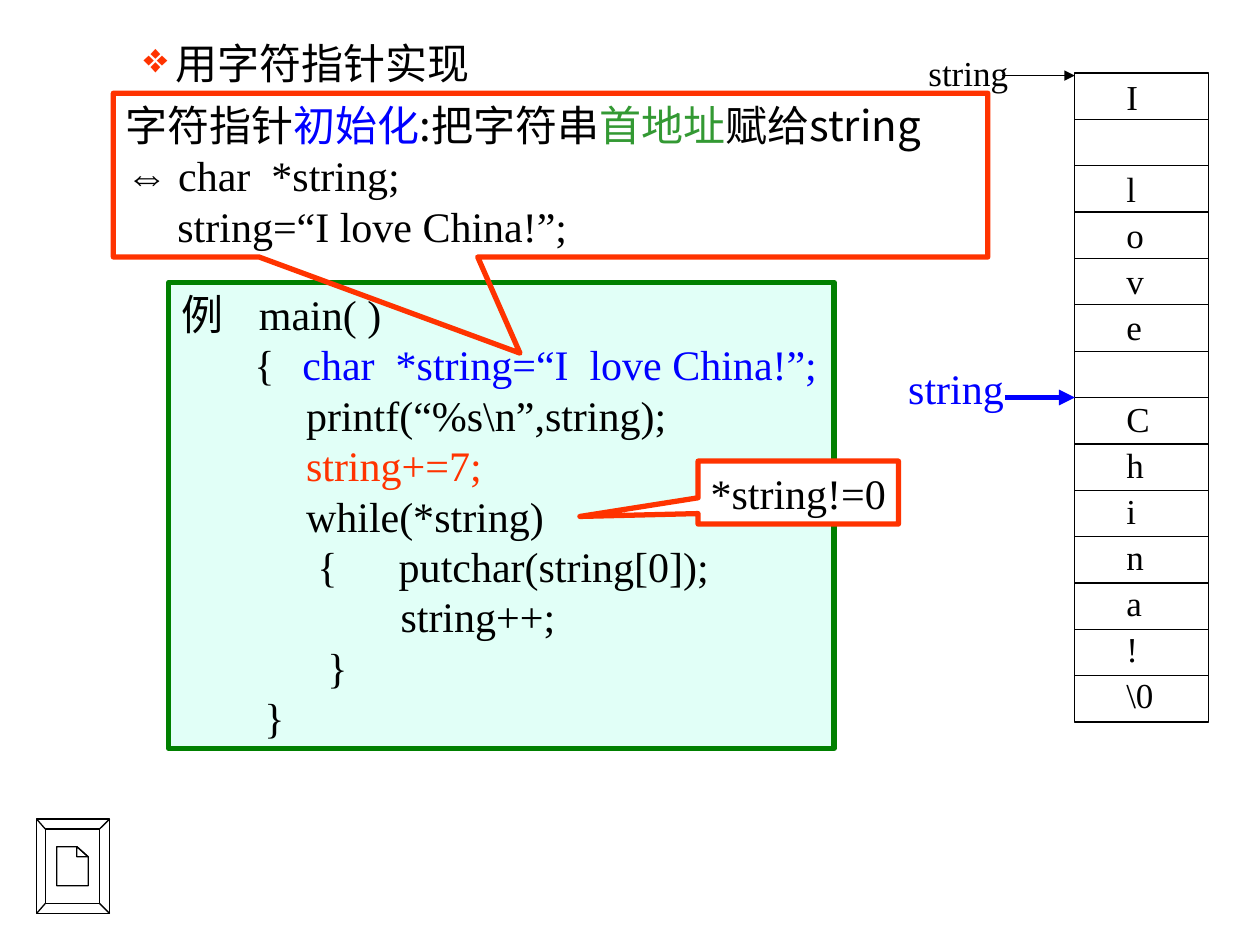
import dataclasses
import pptx
import pptx.dml.color
import pptx.enum.shapes
import pptx.enum.text
import pptx.oxml.ns
import pptx.util
import lxml.etree

SHAPE = pptx.enum.shapes.MSO_SHAPE
ALIGN = pptx.enum.text.PP_ALIGN
ANCHOR = pptx.enum.text.MSO_ANCHOR
qn = pptx.oxml.ns.qn


@dataclasses.dataclass(frozen=True)
class Theme:
    black: str = "000000"
    white: str = "FFFFFF"
    blue: str = "0000FF"
    red: str = "FF3300"
    leaf: str = "339933"
    green: str = "008000"
    mint: str = "E1FFF7"
    serif: str = "Times New Roman"
    sans: str = "Noto Sans CJK SC"
    symbol: str = "Arial"
    body: int = 24
    cell: int = 20
    thin: float = 0.75
    thick: float = 3
    leading: float = 1.2


T = Theme()


def rgb(value):
    return pptx.dml.color.RGBColor.from_string(value)


def add_run(p, text, color=T.black, font=T.serif, size=T.body, spacing=0):
    r = p.add_run()
    r.text = text
    r.font.size = pptx.util.Pt(size)
    r.font.color.rgb = rgb(color)
    r.font.name = font
    lxml.etree.SubElement(r.font._element, qn("a:ea"), typeface=T.sans)
    if spacing:
        r.font._element.set("spc", str(spacing * 100))


class Deck:
    """Draws styled elements on the current slide, a grid of 100 columns by 75 rows."""

    def __init__(self):
        self.prs = pptx.Presentation()
        self.prs.slide_width = pptx.util.Inches(10)
        self.prs.slide_height = pptx.util.Inches(7.5)
        self.unit = self.prs.slide_width // 100
        self.s = self.prs.slides.add_slide(self.prs.slide_layouts[5])

    def grid(self, *values):
        return [round(v * self.unit) for v in values]

    def frame(self, sp, wrap=True, anchor=ANCHOR.TOP):
        tf = sp.text_frame
        tf.word_wrap = wrap
        tf.vertical_anchor = anchor
        tf.margin_left, tf.margin_top, tf.margin_bottom = self.grid(1, 0.5, 0.5)
        tf.margin_right = 0 if wrap else self.unit
        return tf

    def lines(self, tf, rows, size=T.body, align=ALIGN.LEFT):
        for i, (indent, *runs) in enumerate(rows):
            p = tf.paragraphs[0] if i == 0 else tf.add_paragraph()
            p.alignment = align
            p.line_spacing = pptx.util.Pt(size * T.leading)
            ppr = p._p.get_or_add_pPr()
            ppr.set("marL", str(*self.grid(indent)))
            ppr.set("indent", "0")
            for text, style in runs:
                add_run(p, text, size=size, **style)

    def title(self, text, bullet, *box):
        sp = self.s.shapes.title
        sp.left, sp.top, sp.width, sp.height = self.grid(*box)
        p = self.frame(sp).paragraphs[0]
        p.alignment = ALIGN.LEFT
        ppr = p._p.get_or_add_pPr()
        left, hang = self.grid(12.9, -2.5)
        ppr.set("marL", str(left))
        ppr.set("indent", str(hang))
        color = lxml.etree.SubElement(ppr, qn("a:buClr"))
        lxml.etree.SubElement(color, qn("a:srgbClr"), val=T.red)
        lxml.etree.SubElement(ppr, qn("a:buChar"), char=bullet)
        add_run(p, text)

    def paint(self, sp, fill, line, width):
        sp.shadow.inherit = False
        if fill:
            sp.fill.solid()
            sp.fill.fore_color.rgb = rgb(fill)
        else:
            sp.fill.background()
        sp.line.color.rgb = rgb(line)
        sp.line.width = pptx.util.Pt(width)

    def shape(self, kind, *box, fill=None, line=T.black, width=T.thin, adj=()):
        sp = self.s.shapes.add_shape(kind, *self.grid(*box))
        for i, value in enumerate(adj):
            sp.adjustments[i] = value
        self.paint(sp, fill, line, width)
        return sp

    def label(self, text, *box, size=T.cell, color=T.black):
        sp = self.s.shapes.add_textbox(*self.grid(*box))
        self.lines(self.frame(sp), [(0, (text, {"color": color}))], size)

    def line(self, *ends, color=T.black, width=T.thin, arrow=False, target=None):
        c = self.s.shapes.add_connector(pptx.enum.shapes.MSO_CONNECTOR.STRAIGHT, *self.grid(*ends))
        c.line.color.rgb = rgb(color)
        c.line.width = pptx.util.Pt(width)
        if arrow:
            lxml.etree.SubElement(c.line._get_or_add_ln(), qn("a:tailEnd"), type="triangle")
        lxml.etree.SubElement(c._element.spPr, qn("a:effectLst"))
        if target is not None:
            c.end_connect(target, 1)

    def outline(self, contours):
        fb = self.s.shapes.build_freeform(*self.grid(*contours[0][0]))
        for contour in contours:
            points = [self.grid(*point) for point in contour]
            fb.move_to(*points[0])
            fb.add_line_segments(points[1:], close=len(points) > 2)
        self.paint(fb.convert_to_shape(), T.white, T.black, T.thin)


def corners(left, top, right, bottom):
    return [(left, top), (right, top), (right, bottom), (left, bottom)]


def draw_code(d):
    sp = d.shape(SHAPE.RECTANGLE, 13.4, 22.4, 52.8, 37, fill=T.mint, line=T.green, width=T.thick)
    blue, red = {"color": T.blue}, {"color": T.red}
    d.lines(d.frame(sp), [
        (0, ("例", {}), (" ", {"spacing": 15}), ("main( )", {})),
        (5.8, ("{", {}), (" ", {"spacing": 10}), ("char  *string=“I  love China!”;", blue)),
        (9.9, ("printf(“%s\\n”,string);", {})),
        (9.9, ("string+=7;", red)),
        (9.9, ("while(*string)", {})),
        (10.8, ("{", {}), (" ", {"spacing": 29}), ("putchar(string[0]);", {})),
        (17.4, ("string++;", {})),
        (11.6, ("}", {})),
        (6.6, ("}", {})),
    ])


def draw_button(d):
    outer, inner = corners(2.9, 65, 8.7, 72.5), corners(3.6, 65.8, 7.9, 71.7)
    page = [(4.5, 67.2), (6.1, 67.2), (7, 68), (7, 70.3), (4.5, 70.3)]
    fold = [(6.1, 67.2), (7, 68), (6.1, 68)]
    d.outline([outer, inner, page, fold, *zip(outer, inner)])


def draw_memory(d):
    cells = ["I", "", "l", "o", "v", "e", "", "C", "h", "i", "n", "a", "!", "\\0"]
    left, right, top, height = 85.3, 95.9, 5.8, 51.5
    pitch = height / len(cells)
    d.line(79.5, 6, left, 6, arrow=True)
    d.label("string", 72.7, 3.6, 8.3, 4.4)
    memory = d.shape(SHAPE.RECTANGLE, left, top, right - left, height)
    for i, text in enumerate(cells):
        if i:
            y = top + i * pitch
            d.line(left, y, right, y)
        if text:
            d.label(text, 88.4, 5.5 + 3.65 * i, 4.1, 4.4)
    return memory


def draw_callouts(d):
    blue, green = ({"color": c, "font": T.sans} for c in (T.blue, T.leaf))
    sans = {"font": T.sans}
    sp = d.shape(SHAPE.RECTANGULAR_CALLOUT, 9, 7.4, 69.4, 13, line=T.red, width=T.thick, adj=(-0.035, 1.087))
    d.lines(d.frame(sp, anchor=ANCHOR.MIDDLE), [
        (0, ("字符指针", sans), ("初始化", blue), (":把字符串", sans), ("首地址", green), ("赋给string", sans)),
        (0, ("⇔", {"font": T.symbol}), (" char  *string;", {})),
        (4.1, ("string=“I love China!”;", {})),
    ])
    sp = d.shape(SHAPE.RECTANGULAR_CALLOUT, 55.4, 36.6, 15.9, 5, fill=T.white, line=T.red,
                 width=T.thick, adj=(-1.09, 0.379))
    d.lines(d.frame(sp, wrap=False, anchor=ANCHOR.MIDDLE), [(0, ("*string!=0", {}))], align=ALIGN.CENTER)


def main():
    d = Deck()
    d.title("用字符指针实现", "❖", 0, 2.5, 94.1, 5.9)
    draw_code(d)
    draw_button(d)
    memory = draw_memory(d)
    d.line(79.8, 31.55, 85.3, 31.55, color=T.blue, width=T.thick, arrow=True, target=memory)
    d.label("string", 71.1, 28.3, 9.6, 5, size=T.body, color=T.blue)
    draw_callouts(d)
    d.prs.save("out.pptx")


if __name__ == "__main__":
    main()
